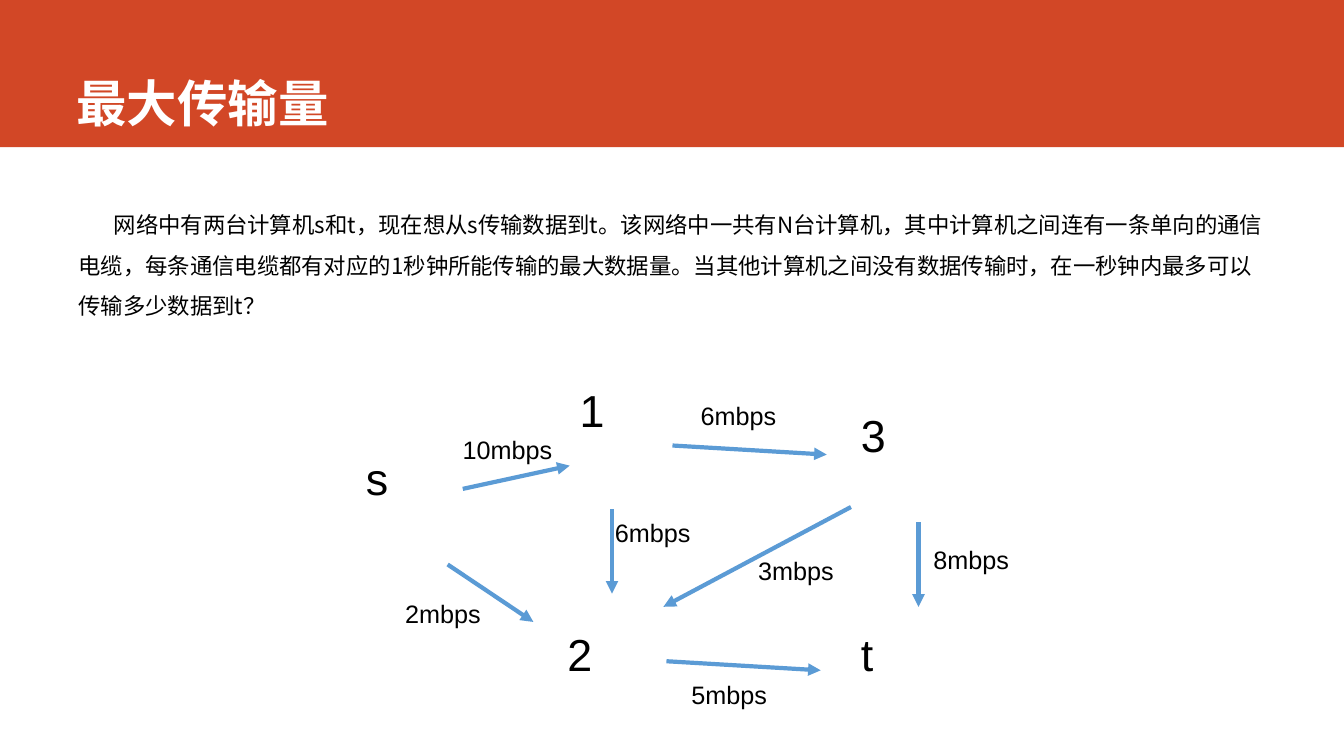
from pptx import Presentation
from pptx.dml.color import RGBColor
from pptx.enum.shapes import MSO_CONNECTOR, MSO_SHAPE
from pptx.enum.text import MSO_ANCHOR
from pptx.oxml.ns import qn
from pptx.util import Inches, Pt
from lxml import etree

RED = RGBColor(0xD2, 0x47, 0x26)
BLUE = RGBColor(0x5B, 0x9B, 0xD5)
BLACK = RGBColor(0, 0, 0)
WHITE = RGBColor(0xFF, 0xFF, 0xFF)
RECTANGLE = MSO_SHAPE.RECTANGLE
STRAIGHT = MSO_CONNECTOR.STRAIGHT
TOP, BOTTOM = MSO_ANCHOR.TOP, MSO_ANCHOR.BOTTOM
CHINESE_FONT = "Noto Sans CJK SC"

presentation = Presentation()
presentation.slide_width = Inches(13.33)
presentation.slide_height = Inches(7.5)
slide = presentation.slides.add_slide(presentation.slide_layouts[6])


def add_text(text, left, top, width, height, size, font="Arial",
             color=BLACK, bold=False, anchor=TOP):
    box = slide.shapes.add_textbox(Inches(left), Inches(top), Inches(width), Inches(height))
    frame = box.text_frame
    frame.word_wrap = True
    frame.vertical_anchor = anchor
    paragraph = frame.paragraphs[0]
    run = paragraph.add_run()
    run.text = text
    formats = {"name": font, "size": Pt(size), "bold": bold}
    for attribute, value in formats.items():
        setattr(run.font, attribute, value)
    run.font.color.rgb = color
    east_asian = etree.SubElement(run.font._element, qn("a:ea"))
    east_asian.set("typeface", font)
    return frame


# Title band
band = slide.shapes.add_shape(RECTANGLE, 0, 0, presentation.slide_width, Inches(1.46))
band.shadow.inherit = False
band.fill.solid()
band.fill.fore_color.rgb = RED
band.line.fill.background()
title = add_text("最大传输量", 0.66, 0, 11.76, 1.32, 36, CHINESE_FONT, WHITE, True, BOTTOM)
title.margin_bottom = 0

# Problem statement with a first-line indent
statement = add_text(
    "网络中有两台计算机s和t，现在想从s传输数据到t。该网络中一共有N台计算机，"
    "其中计算机之间连有一条单向的通信电缆，每条通信电缆都有对应的1秒钟所能传输的最大数据量。"
    "当其他计算机之间没有数据传输时，在一秒钟内最多可以传输多少数据到t？",
    0.68, 1.91, 12, 2.04, 16, CHINESE_FONT)
paragraph = statement.paragraphs[0]
paragraph.line_spacing = Pt(29)
paragraph._p.get_or_add_pPr().set("indent", str(Inches(0.35)))

# Computers
nodes = [("s", 3.53, 4.42), ("1", 5.65, 3.75), ("3", 8.44, 4),
         ("2", 5.53, 6.17), ("t", 8.44, 6.17)]
for name, left, top in nodes:
    add_text(name, left, top, 0.45, 0.64, 32)

# Cables: start, end, capacity, label position
cables = [
    ((4.59, 4.85), (5.65, 4.62), "10mbps", (4.49, 4.26)),
    ((4.44, 5.6), (5.29, 6.17), "2mbps", (3.92, 5.89)),
    ((6.67, 4.42), (8.2, 4.51), "6mbps", (6.85, 3.92)),
    ((6.07, 5.05), (6.07, 5.89), "6mbps", (6, 5.08)),
    ((8.44, 5.03), (6.58, 6.02), "3mbps", (7.42, 5.46)),
    ((9.11, 5.18), (9.11, 6.02), "8mbps", (9.16, 5.35)),
    ((6.61, 6.56), (8.14, 6.65), "5mbps", (6.76, 6.69)),
]
for start, end, capacity, (left, top) in cables:
    cable = slide.shapes.add_connector(STRAIGHT, *map(Inches, start + end))
    cable.line.color.rgb = BLUE
    cable.line.width = Pt(3)
    arrowhead = etree.SubElement(cable.line._get_or_add_ln(), qn("a:tailEnd"))
    arrowhead.set("type", "triangle")
    etree.SubElement(cable._element.spPr, qn("a:effectLst"))
    add_text(capacity, left, top, 1.16, 0.4, 18)

presentation.save("out.pptx")
